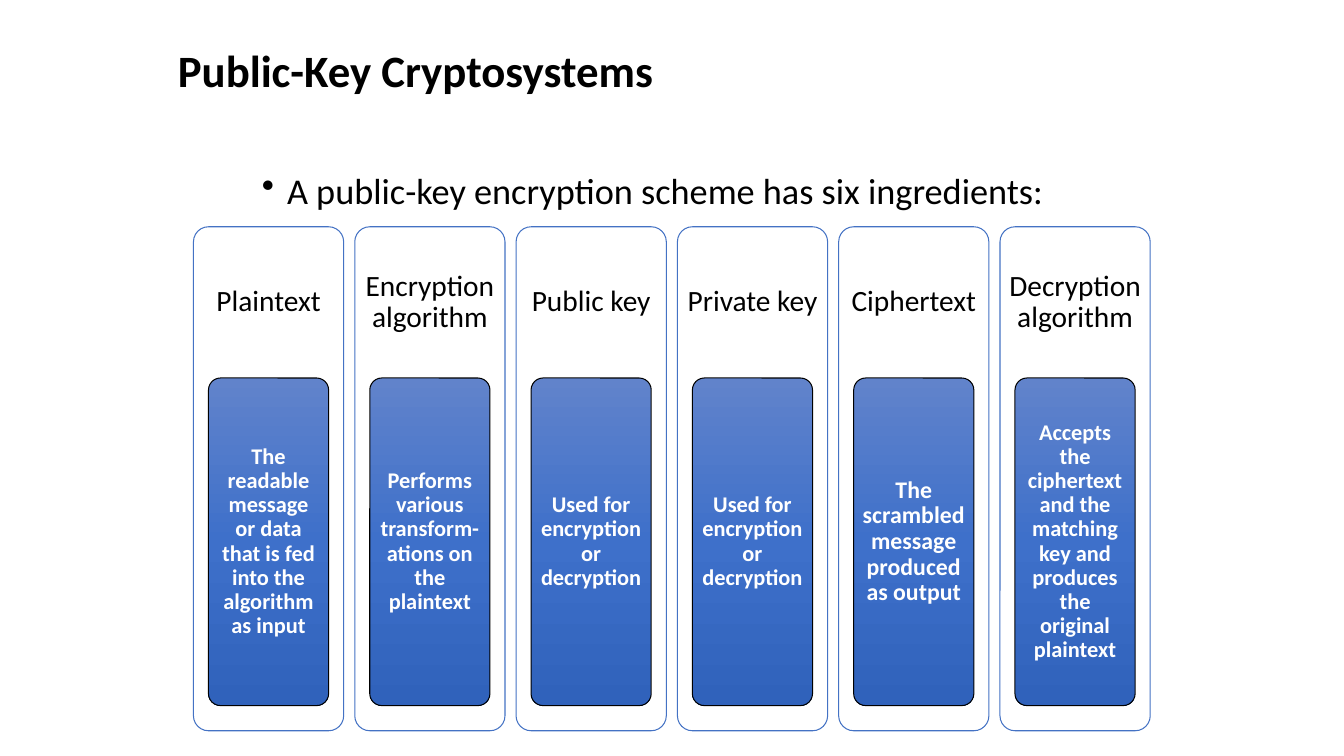
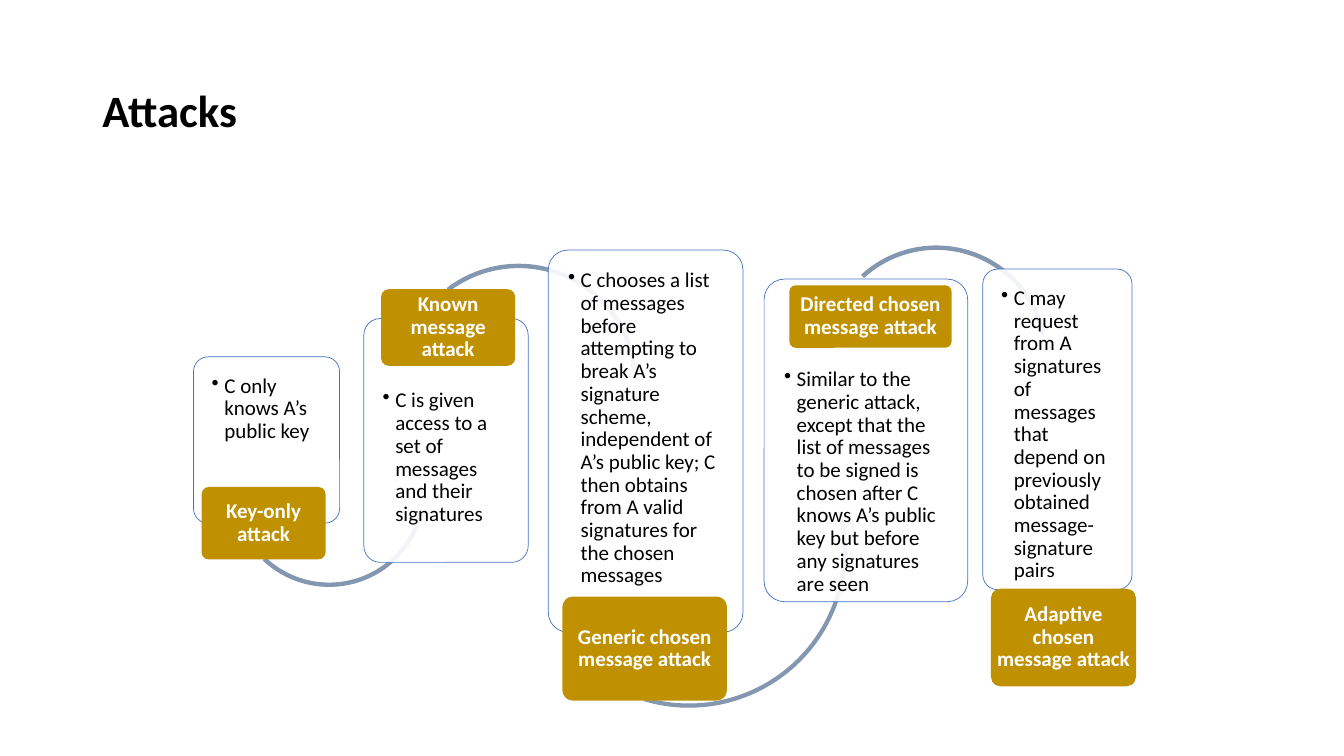
from copy import deepcopy
from dataclasses import dataclass
from typing import Optional

from pptx import Presentation
from pptx.dml.color import RGBColor
from pptx.enum.shapes import MSO_SHAPE
from pptx.enum.text import MSO_ANCHOR, PP_ALIGN
from pptx.oxml.ns import qn
from pptx.util import Pt

ROUND_RECT = MSO_SHAPE.ROUNDED_RECTANGLE
ARC_OVER = MSO_SHAPE.CIRCULAR_ARROW
ARC_UNDER = MSO_SHAPE.LEFT_CIRCULAR_ARROW
LEFT, CENTER = PP_ALIGN.LEFT, PP_ALIGN.CENTER
TOP, MIDDLE = MSO_ANCHOR.TOP, MSO_ANCHOR.MIDDLE

FONT = "Calibri"
BLACK = RGBColor(0x00, 0x00, 0x00)
WHITE = RGBColor(0xFF, 0xFF, 0xFF)
BLUE = RGBColor(0x44, 0x72, 0xC4)
SLATE = RGBColor(0x84, 0x97, 0xB0)
GOLD = RGBColor(0xBF, 0x90, 0x00)
GRADIENT = (RGBColor(0x61, 0x83, 0xCB), RGBColor(0x3E, 0x70, 0xCA),
            RGBColor(0x30, 0x62, 0xBB))


@dataclass(frozen=True)
class Box:
    left: float
    top: float
    width: float
    height: float

    def emu(self) -> tuple:
        return Pt(self.left), Pt(self.top), Pt(self.width), Pt(self.height)


@dataclass(frozen=True)
class Ingredient:
    name: str
    detail: str
    size: float = 16


@dataclass(frozen=True)
class Arc:
    kind: int
    left: float
    top: float
    size: float
    adjustments: tuple
    rotation: float = 0


@dataclass(frozen=True)
class Attack:
    name: str
    detail: str
    card: Box
    label: Box
    text_drop: float = 0
    arc: Optional[Arc] = None


INGREDIENTS = (
    Ingredient("Plaintext", "The readable message or data that is fed into "
               "the algorithm as input"),
    Ingredient("Encryption algorithm",
               "Performs various transform-ations on the plaintext"),
    Ingredient("Public key", "Used for encryption or decryption"),
    Ingredient("Private key", "Used for encryption or decryption"),
    Ingredient("Ciphertext", "The scrambled message produced as output", 17),
    Ingredient("Decryption algorithm", "Accepts the ciphertext and the "
               "matching key and produces the original plaintext"),
)

ATTACKS = (
    Attack("Key-only attack", "C only knows A’s public key",
           Box(138.2, 254.9, 104.4, 118.8), Box(144, 347.8, 88.6, 51.8),
           arc=Arc(ARC_UNDER, 164.9, 280.1, 140.4,
                   (0.017, 2.012, 9.416, 79.894, 0.02))),
    Attack("Known message attack",
           "C is given access to a set of messages and their signatures",
           Box(259.9, 227.5, 117.4, 174.2), Box(272.2, 206.6, 95.8, 54.7), 37.5,
           Arc(ARC_OVER, 284.4, 187.2, 172.1,
               (0.014, 1.632, 210.641, 139.784, 0.016))),
    Attack("Generic chosen message attack",
           "C chooses a list of messages before attempting to break A’s "
           "signature scheme, independent of A’s public key; C then obtains "
           "from A valid signatures for the chosen messages",
           Box(391.7, 178.6, 139, 272.9), Box(401.8, 426.2, 117.4, 74.2),
           arc=Arc(ARC_UNDER, 378, 278.6, 228.2,
                   (0.01, 1.218, 208.593, 63.864, 0.012))),
    Attack("Directed chosen message attack",
           "Similar to the generic attack, except that the list of messages "
           "to be signed is chosen after C knows A’s public key but before "
           "any signatures are seen",
           Box(545.8, 199.4, 145.4, 230.4), Box(563.8, 203.8, 115.9, 44.6), 49.7,
           Arc(ARC_OVER, 588.2, 174.2, 161.3,
               (0.015, 1.746, 210.233, 139.489, 0.017), 355.2)),
    Attack("Adaptive chosen message attack",
           "C may request from A signatures of messages that depend on "
           "previously obtained message-signature pairs",
           Box(702, 192.2, 106.6, 229), Box(707.8, 420.5, 103.7, 69.8)),
)


# Shared helpers
def write(sp, text: str, size: float, color: RGBColor = BLACK,
          bold: bool = False, align: int = LEFT, anchor: int = TOP,
          margins: tuple = (7.2, 3.6, 7.2, 3.6), bullet: float = 0) -> None:
    """Put one paragraph in a shape; bullet is its hanging indent."""
    tf = sp.text_frame
    tf.word_wrap = True
    tf.vertical_anchor = anchor
    (tf.margin_left, tf.margin_top,
     tf.margin_right, tf.margin_bottom) = (Pt(m) for m in margins)
    p = tf.paragraphs[0]
    p.text = text
    p.alignment = align
    p.line_spacing = 0.9
    p.font.name, p.font.size, p.font.bold = FONT, Pt(size), bold
    p.font.color.rgb = color
    if bullet:
        pPr = p._p.get_or_add_pPr()
        pPr.set("marL", str(Pt(bullet)))
        pPr.set("indent", str(-Pt(bullet)))
        mark = pPr.makeelement(qn("a:buChar"), {"char": "•"})
        pPr.find(qn("a:defRPr")).addprevious(mark)


def add_text(s, box: Box, text: str, size: float, **style):
    sp = s.shapes.add_textbox(*box.emu())
    write(sp, text, size, **style)


def add_title(s, box: Box, text: str) -> None:
    add_text(s, box, text, 32, bold=True, anchor=MIDDLE)


def add_panel(s, box: Box, fill: Optional[RGBColor] = None,
              line: Optional[RGBColor] = None, weight: float = 0.75,
              kind: int = ROUND_RECT, adjustments: tuple = (0.1,)):
    """Draw a flat shape; without a fill it gets the blue gradient."""
    sp = s.shapes.add_shape(kind, *box.emu())
    sp.shadow.inherit = False
    for i, value in enumerate(adjustments):
        sp.adjustments[i] = value
    if fill is None:
        set_gradient(sp)
    else:
        sp.fill.solid()
        sp.fill.fore_color.rgb = fill
    if line is None:
        sp.line.fill.background()
    else:
        sp.line.color.rgb = line
        sp.line.width = Pt(weight)
    return sp


def set_gradient(sp) -> None:
    sp.fill.gradient()
    sp.fill.gradient_angle = 270
    stops = sp._element.spPr.find(qn("a:gradFill")).find(qn("a:gsLst"))
    stops.insert(1, deepcopy(stops[0]))
    for i, (stop, color) in enumerate(zip(sp.fill.gradient_stops, GRADIENT)):
        stop.position = i / 2
        stop.color.rgb = color


def set_opacity(sp, percent: int) -> None:
    clr = sp._element.spPr.find(qn("a:solidFill")).find(qn("a:srgbClr"))
    clr.append(clr.makeelement(qn("a:alpha"), {"val": str(percent * 1000)}))


# Slide 1: six columns
def add_ingredient(s, index: int, item: Ingredient) -> None:
    card = Box(138.2 + 115.22 * index, 162, 107.3, 360)
    add_panel(s, card, WHITE, BLUE)
    add_text(s, Box(card.left, card.top, card.width, 108), item.name, 21,
             align=CENTER, anchor=MIDDLE, margins=(6, 6, 6, 6))
    inner = add_panel(s, Box(card.left + card.width * 0.1, 270,
                             card.width * 0.8, 234), line=BLACK)
    write(inner, item.detail, item.size, WHITE, True, CENTER, MIDDLE,
          (3, 2, 3, 2))


def build_ingredients(s) -> None:
    add_title(s, Box(120, 2.9, 720, 98.6), "Public-Key Cryptosystems")
    add_text(s, Box(180, 120, 610, 47.5),
             "A public-key encryption scheme has six ingredients:", 25.9,
             bullet=18)
    for i, item in enumerate(INGREDIENTS):
        add_ingredient(s, i, item)


# Slide 2: chain of attacks
def add_attack(s, attack: Attack) -> None:
    card = add_panel(s, attack.card, WHITE, BLUE, 0.5)
    set_opacity(card, 90)
    write(card, attack.detail, 15, margins=(10, 10 + attack.text_drop, 10, 0),
          bullet=9)
    arc = attack.arc
    if arc:
        sp = add_panel(s, Box(arc.left, arc.top, arc.size, arc.size), SLATE,
                       SLATE, kind=arc.kind, adjustments=arc.adjustments)
        sp.rotation = arc.rotation
    label = add_panel(s, attack.label, GOLD)
    write(label, attack.name, 15, WHITE, True, CENTER, MIDDLE, (2, 1.5, 2, 1.5))


def build_attacks(s) -> None:
    add_title(s, Box(66, 28.8, 828, 104.4), "Attacks")
    for attack in ATTACKS:
        add_attack(s, attack)


def main() -> None:
    prs = Presentation()
    prs.slide_width, prs.slide_height = Pt(960), Pt(540)
    for build in (build_ingredients, build_attacks):
        build(prs.slides.add_slide(prs.slide_layouts[6]))
    prs.save("out.pptx")


if __name__ == "__main__":
    main()
